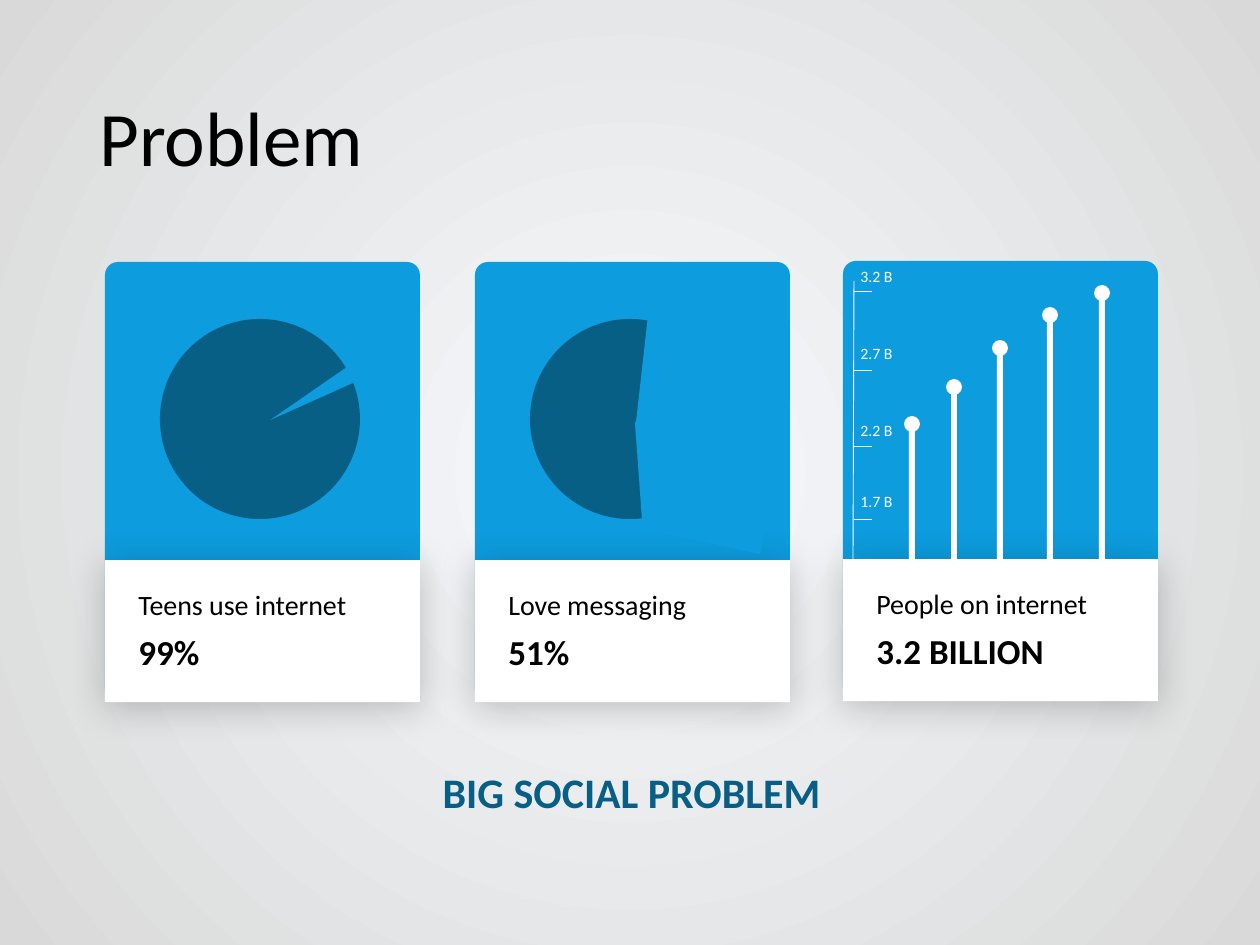
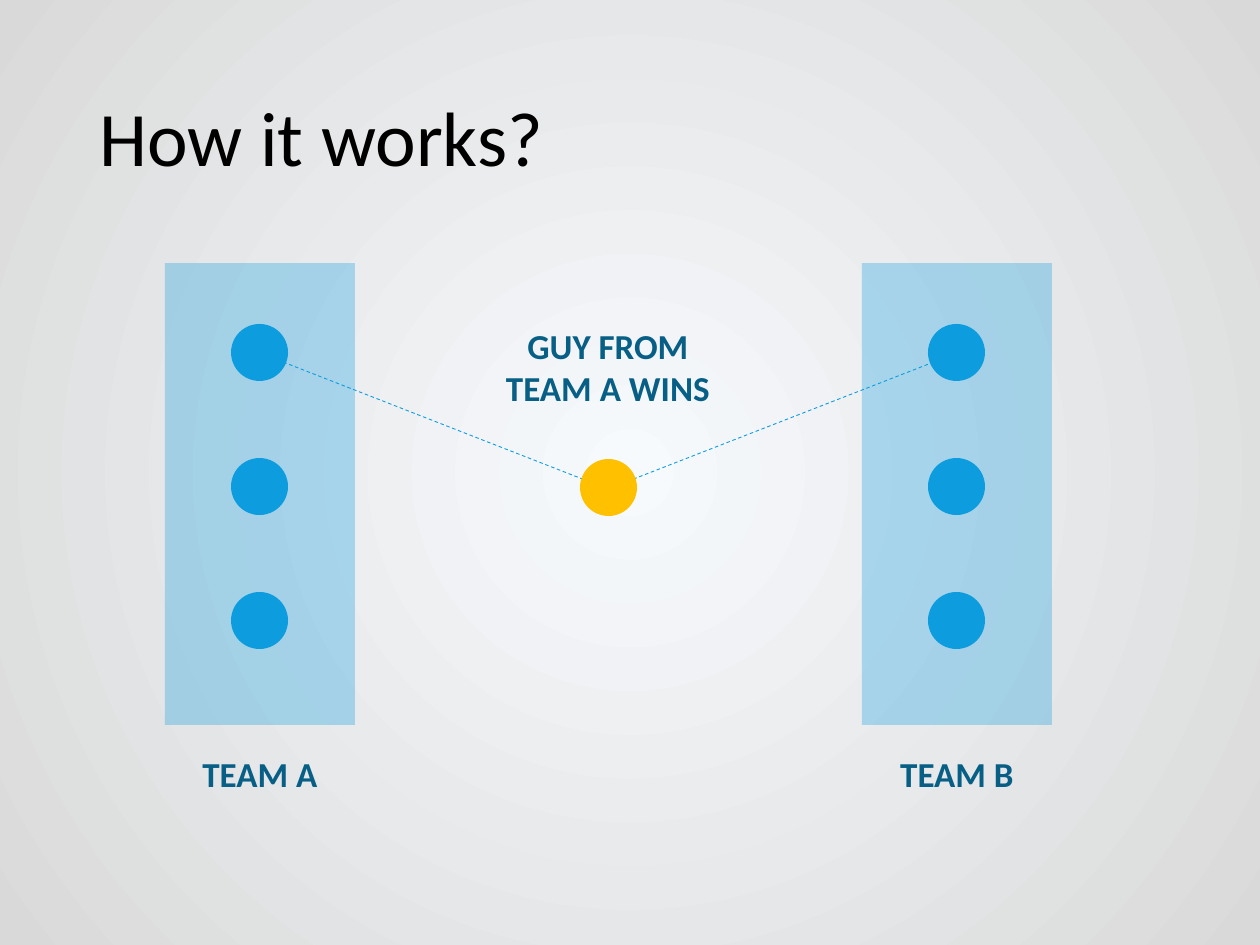
from lxml.etree import SubElement as Sub
from pptx import Presentation
from pptx.dml.color import RGBColor
from pptx.enum.dml import MSO_LINE
from pptx.enum.shapes import MSO_CONNECTOR, MSO_SHAPE as Kind
from pptx.enum.text import MSO_ANCHOR as Anchor, PP_ALIGN as Align
from pptx.oxml.ns import qn
from pptx.util import Emu, Pt

FONT = "Calibri"
BLUE, DEEP, GOLD = "0D9CDE", "085F86", "FFC000"
WHITE, BLACK = "FFFFFF", "000000"
GLOW, EDGE = "F7FAFD", "D9D9D9"
CARD_W, CARD_H, TOP_H = 315, 440, 298
ZONE_W, ZONE_H, DOT = 190, 462, 57


def px(n):
    """Turn pixels into EMU."""
    return Emu(round(n * 914400 / 126))


def tint(code):
    """Turn a hex string into a colour."""
    return RGBColor.from_string(code)


def style(shape, text, size, color, bold=False, align=Align.LEFT):
    """Fill a shape with text in one format."""
    shape.text_frame.text = text
    for para in shape.text_frame.paragraphs:
        para.alignment = align
        for run in para.runs:
            run.font.name = FONT
            run.font.size = Pt(size)
            run.font.bold = bold
            run.font.color.rgb = tint(color)


def label(slide, box, text, size, color, bold=False, align=Align.LEFT):
    """Add a wrapped text box."""
    shape = slide.shapes.add_textbox(*map(px, box))
    shape.text_frame.word_wrap = True
    style(shape, text, size, color, bold, align)


def block(slide, kind, box, color, turn=0, flip=False):
    """Add a flat shape without an outline."""
    shape = slide.shapes.add_shape(kind, *map(px, box))
    shape.shadow.inherit = False
    shape.fill.solid()
    shape.fill.fore_color.rgb = tint(color)
    shape.line.fill.background()
    shape.rotation = turn
    if flip:
        shape.element.spPr.find(qn("a:xfrm")).set("flipH", "1")
    return shape


def line(slide, start, end, color, dash=None):
    """Add a thin straight line."""
    link = slide.shapes.add_connector(
        MSO_CONNECTOR.STRAIGHT, *map(px, (*start, *end)))
    link.line.color.rgb = tint(color)
    link.line.width = Pt(0.5)
    if dash:
        link.line.dash_style = dash
    Sub(link.element.spPr, qn("a:effectLst"))


def fade(shape, percent):
    """Make a solid fill partly transparent."""
    color = shape.element.spPr.find(qn("a:solidFill"))[0]
    Sub(color, qn("a:alpha"), val=str(percent * 1000))


def shade(shape):
    """Give a shape a soft shadow below."""
    effect = shape.element.spPr.find(qn("a:effectLst"))
    outer = Sub(effect, qn("a:outerShdw"), blurRad=str(Pt(22)),
                dist=str(Pt(3)), dir="5400000", algn="t", rotWithShape="0")
    color = Sub(outer, qn("a:srgbClr"), val=BLACK)
    Sub(color, qn("a:alpha"), val="22000")


def backdrop(master):
    """Set the radial background that all slides share."""
    fill = master.background.fill
    fill.gradient()
    for stop, code in zip(fill.gradient_stops, (GLOW, EDGE)):
        stop.color.rgb = tint(code)
    grad = next(master.element.iter(qn("a:gradFill")))
    grad.remove(grad.find(qn("a:lin")))
    radial = Sub(grad, qn("a:path"), {"path": "circle"})
    Sub(radial, qn("a:fillToRect"), dict.fromkeys("ltrb", "50000"))


def page(deck, text):
    """Add a slide with its title."""
    slide = deck.slides.add_slide(deck.slide_layouts[5])
    title = slide.shapes.title
    title.left, title.top, title.width, title.height = map(
        px, (87, 50, 1086, 183))
    style(title, text, 44, BLACK)
    title.text_frame.vertical_anchor = Anchor.MIDDLE
    title.text_frame.paragraphs[0].line_spacing = 0.9
    return slide


def card(slide, x, y, text, value):
    """Draw a blue card with a white caption panel."""
    back = block(slide, Kind.ROUNDED_RECTANGLE, (x, y, CARD_W, CARD_H), BLUE)
    back.adjustments[0] = 0.041
    panel = block(slide, Kind.ROUNDED_RECTANGLE,
                  (x, y + TOP_H, CARD_W, CARD_H - TOP_H), WHITE)
    panel.adjustments[0] = 0
    shade(panel)
    label(slide, (x + 21, y + 362, 204, 55), value, 20, BLACK, True)
    label(slide, (x + 21, y + 319, 248, 46), text, 16, BLACK)


def disc(slide, x, y, cuts):
    """Draw a dark disc and cut wedges out of it."""
    block(slide, Kind.OVAL, (x + 55, y + 57, 200, 200), DEEP)
    for kind, (left, top, wide, high), turn, flip in cuts:
        block(slide, kind, (x + left, y + top, wide, high), BLUE, turn, flip)


def growth(slide, x, y):
    """Draw the pins and the scale of the growth card."""
    for mid, top in ((69, 155), (111, 118), (157, 79), (207, 46), (259, 24)):
        block(slide, Kind.RECTANGLE,
              (x + mid - 3, y + top + 8, 6, TOP_H - top - 8), WHITE)
        block(slide, Kind.OVAL, (x + mid - 8, y + top, 16, 16), WHITE)
    line(slide, (x + 11, y + 20), (x + 10, y + 306), WHITE)
    marks = (("3.2 B", 0, 30), ("2.7 B", 77, 109),
             ("2.2 B", 154, 185), ("1.7 B", 225, 258))
    for text, top, tick in marks:
        line(slide, (x + 11, y + tick), (x + 29, y + tick), WHITE)
        label(slide, (x + 5, y + top, 73, 31), text, 9, WHITE)


def problem(deck):
    """Build the slide with three fact cards."""
    slide = page(deck, "Problem")
    teens, chat, people = (105, 262), (475, 262), (843, 261)
    card(slide, *people, "People on internet", "3.2 BILLION")
    growth(slide, *people)
    card(slide, *teens, "Teens use internet", "99%")
    disc(slide, *teens, [
        (Kind.ISOSCELES_TRIANGLE, (210, 61, 24, 130), 240.6, False)])
    card(slide, *chat, "Love messaging", "51%")
    disc(slide, *chat, [
        (Kind.FLOWCHART_MANUAL_INPUT, (171, 151, 103, 150), 282.1, False),
        (Kind.FLOWCHART_MANUAL_INPUT, (170, 22, 113, 150), 261.6, True),
        (Kind.RECTANGLE, (166, 125, 102, 89), 0, False)])
    label(slide, (105, 760, 1053, 63), "BIG SOCIAL PROBLEM", 24, DEEP, True,
          Align.CENTER)


def team(slide, x, y, name):
    """Draw a team zone with three players and its name."""
    fade(block(slide, Kind.RECTANGLE, (x, y, ZONE_W, ZONE_H), BLUE), 31)
    for i in range(3):
        block(slide, Kind.OVAL, (x + 66, y + 61 + 134 * i, DOT, DOT), BLUE)
    label(slide, (x, y + 483, ZONE_W, 55), name, 20, DEEP, True, Align.CENTER)


def works(deck):
    """Build the slide with two teams and the winner."""
    slide = page(deck, "How it works?")
    teams = (("TEAM A", 165), ("TEAM B", 862))
    for name, x in teams:
        line(slide, (x + ZONE_W // 2, 353), (608, 489), BLUE, MSO_LINE.DASH)
    for name, x in teams:
        team(slide, x, 263, name)
    block(slide, Kind.OVAL, (580, 459, DOT, DOT), GOLD)
    label(slide, (475, 318, 266, 97), "GUY FROM TEAM A WINS", 20, DEEP, True,
          Align.CENTER)


def main():
    """Build and save the deck."""
    deck = Presentation()
    deck.slide_width, deck.slide_height = px(1260), px(945)
    backdrop(deck.slide_master)
    problem(deck)
    works(deck)
    deck.save("out.pptx")


if __name__ == "__main__":
    main()
